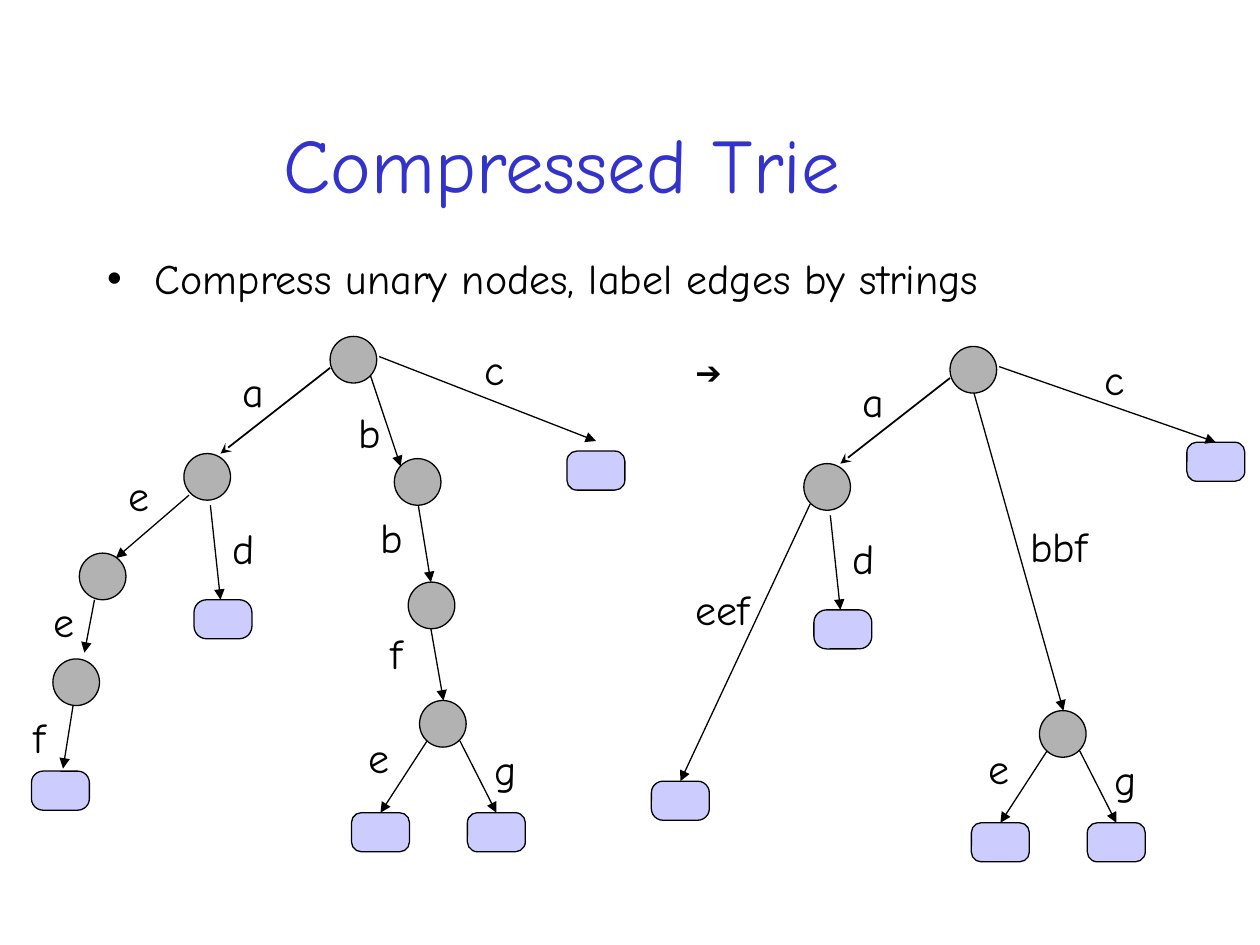
"""Build a slide that compares a trie with its compressed form."""
from lxml import etree
from pptx import Presentation
from pptx.dml.color import RGBColor
from pptx.enum.shapes import MSO_CONNECTOR, MSO_SHAPE
from pptx.enum.text import MSO_ANCHOR, MSO_AUTO_SIZE, PP_ALIGN
from pptx.oxml.ns import qn
from pptx.util import Pt

PX = 914400 // 100
OVAL, ROUNDED = MSO_SHAPE.OVAL, MSO_SHAPE.ROUNDED_RECTANGLE
STRAIGHT = MSO_CONNECTOR.STRAIGHT
NODE_SIZE = 37
LEAF_WIDTH, LEAF_HEIGHT = 46, 31
COLORS = {
    name: RGBColor.from_string(value)
    for name, value in {
        "title": "3333CC", "ink": "000000", "node": "B2B2B2", "leaf": "CCCCFF",
    }.items()
}

SHARED_NODES = [(146, 360), (262, 267), (333, 556)]
SHARED_LEAVES = [(25, 612, 0.297), (279, 645, 0.25), (371, 645, 0.255), (154, 476, 0.323)]
SHARED_EDGES = [
    (262, 292, 175, 360, "stealth"),
    (167, 401, 175, 476, "triangle"),
    (301, 283, 473, 350, "triangle"),
    (365, 588, 394, 645, "triangle"),
    (339, 588, 302, 645, "triangle"),
]
SHARED_LABELS = [
    ("a", 183, 285, 75), ("c", 375, 268, 50), ("d", 175, 410, 75),
    ("e", 283, 576, 42), ("g", 383, 585, 42),
]

TREES = [
    {
        "shift": (0, 0),
        "nodes": [(313, 364), (63, 439), (42, 523), (324, 462)],
        "leaves": [(450, 358, 0.255)],
        "edges": [
            (150, 393, 92, 443), (75, 476, 67, 518), (58, 560, 50, 610),
            (294, 298, 318, 370), (332, 401, 342, 462), (342, 499, 352, 556),
        ],
        "labels": [
            ("b", 275, 318, 42), ("e", 92, 368, 75), ("e", 33, 468, 75),
            ("f", 17, 560, 75), ("b", 292, 401, 42), ("f", 300, 493, 42),
        ],
    },
    {
        "shift": (492, 8),
        "nodes": [],
        "leaves": [(450, 343, 0.255)],
        "edges": [(281, 304, 352, 556), (151, 392, 48, 612)],
        "labels": [("bbf", 316, 400, 83), ("eef", 50, 450, 75)],
    },
]


def add_label(page, text, left, top, width, height, size, font):
    box = page.shapes.add_textbox(left * PX, top * PX, width * PX, height * PX)
    box.text_frame.word_wrap = True
    box.text_frame.text = text
    format_span(box.text_frame.paragraphs[0].runs[0], size, font, "ink")


def format_span(span, size, font, color):
    span.font.size = Pt(size)
    span.font.name = font
    span.font.color.rgb = COLORS[color]


deck = Presentation()
deck.slide_width, deck.slide_height = 1000 * PX, 750 * PX
page = deck.slides.add_slide(deck.slide_layouts[1])

title, body = page.placeholders[0], page.placeholders[1]
headings = [
    (title, "Compressed Trie", (42, 67, 850, 125), 44, "title"),
    (body, "Compress unary nodes, label edges by strings", (75, 200, 850, 68), 24, "ink"),
]
for holder, text, (left, top, width, height), size, color in headings:
    holder.left, holder.top = left * PX, top * PX
    holder.width, holder.height = width * PX, height * PX
    holder.text_frame.text = text
    holder.text_frame.auto_size = MSO_AUTO_SIZE.NONE
    format_span(holder.text_frame.paragraphs[0].runs[0], size, "Comic Neue", color)

title.text_frame.vertical_anchor = MSO_ANCHOR.MIDDLE
title.text_frame.margin_right = 52 * PX
title.text_frame.paragraphs[0].alignment = PP_ALIGN.CENTER

para = body.text_frame.paragraphs[0]
para.line_spacing = 0.9
para.space_before = Pt(0)
properties = para._p.get_or_add_pPr()
properties.set("marL", str(38 * PX))
properties.set("indent", str(-38 * PX))

for tree in TREES:
    shift_x, shift_y = tree["shift"]
    leaf_tops = {}
    nodes = [
        (OVAL, x, y, NODE_SIZE, NODE_SIZE, "node", None)
        for x, y in SHARED_NODES + tree["nodes"]
    ]
    leaves = [
        (ROUNDED, x, y, LEAF_WIDTH, LEAF_HEIGHT, "leaf", rounding)
        for x, y, rounding in SHARED_LEAVES + tree["leaves"]
    ]
    for kind, x, y, width, height, color, rounding in nodes + leaves:
        shape = page.shapes.add_shape(
            kind, (x + shift_x) * PX, (y + shift_y) * PX, width * PX, height * PX
        )
        shape.shadow.inherit = False
        shape.fill.solid()
        shape.fill.fore_color.rgb = COLORS[color]
        shape.line.color.rgb = COLORS["ink"]
        shape.line.width = Pt(0.75)
        if kind == ROUNDED:
            shape.adjustments[0] = rounding
            leaf_tops[x + width // 2, y] = shape

    tree_edges = [(*edge, "triangle") for edge in tree["edges"]]
    for x1, y1, x2, y2, head in SHARED_EDGES + tree_edges:
        if (x2, y2 - 7) == (473, 343) and (473, 343) in leaf_tops:
            y2 = 343
        edge = page.shapes.add_connector(
            STRAIGHT, (x1 + shift_x) * PX, (y1 + shift_y) * PX,
            (x2 + shift_x) * PX, (y2 + shift_y) * PX,
        )
        edge.line.color.rgb = COLORS["ink"]
        edge.line.width = Pt(1 if head == "stealth" else 0.75)
        etree.SubElement(edge.line._get_or_add_ln(), qn("a:tailEnd"), type=head)
        etree.SubElement(edge._element.spPr, qn("a:effectLst"))
        if (x2, y2) in leaf_tops:
            edge.end_connect(leaf_tops[x2, y2], 0)

    for text, x, y, width in SHARED_LABELS + tree["labels"]:
        add_label(page, text, x + shift_x, y + shift_y, width, 50, 24, "Comic Neue")

add_label(page, "➔", 542, 275, 100, 40, 18, "Arial")

deck.save("out.pptx")
